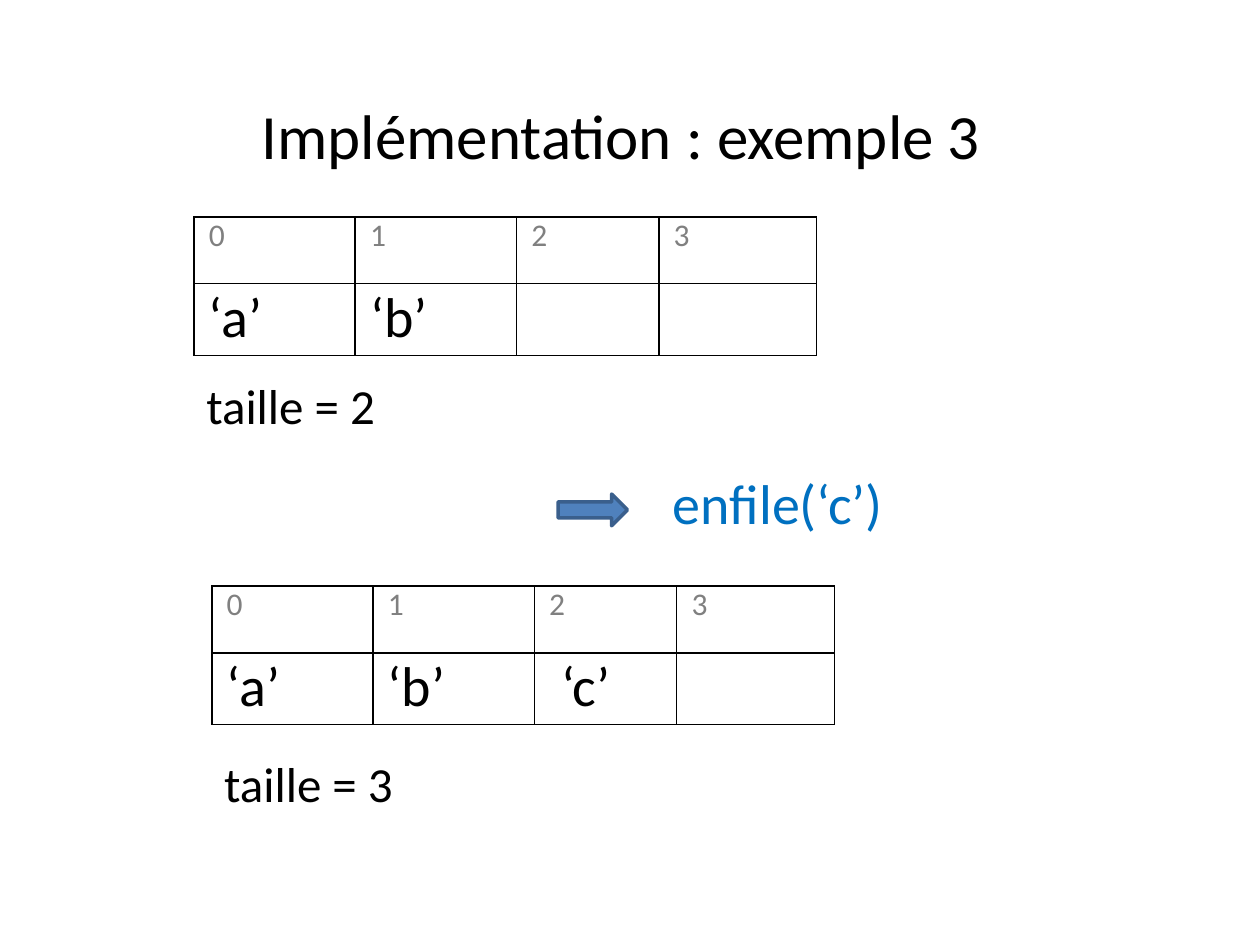
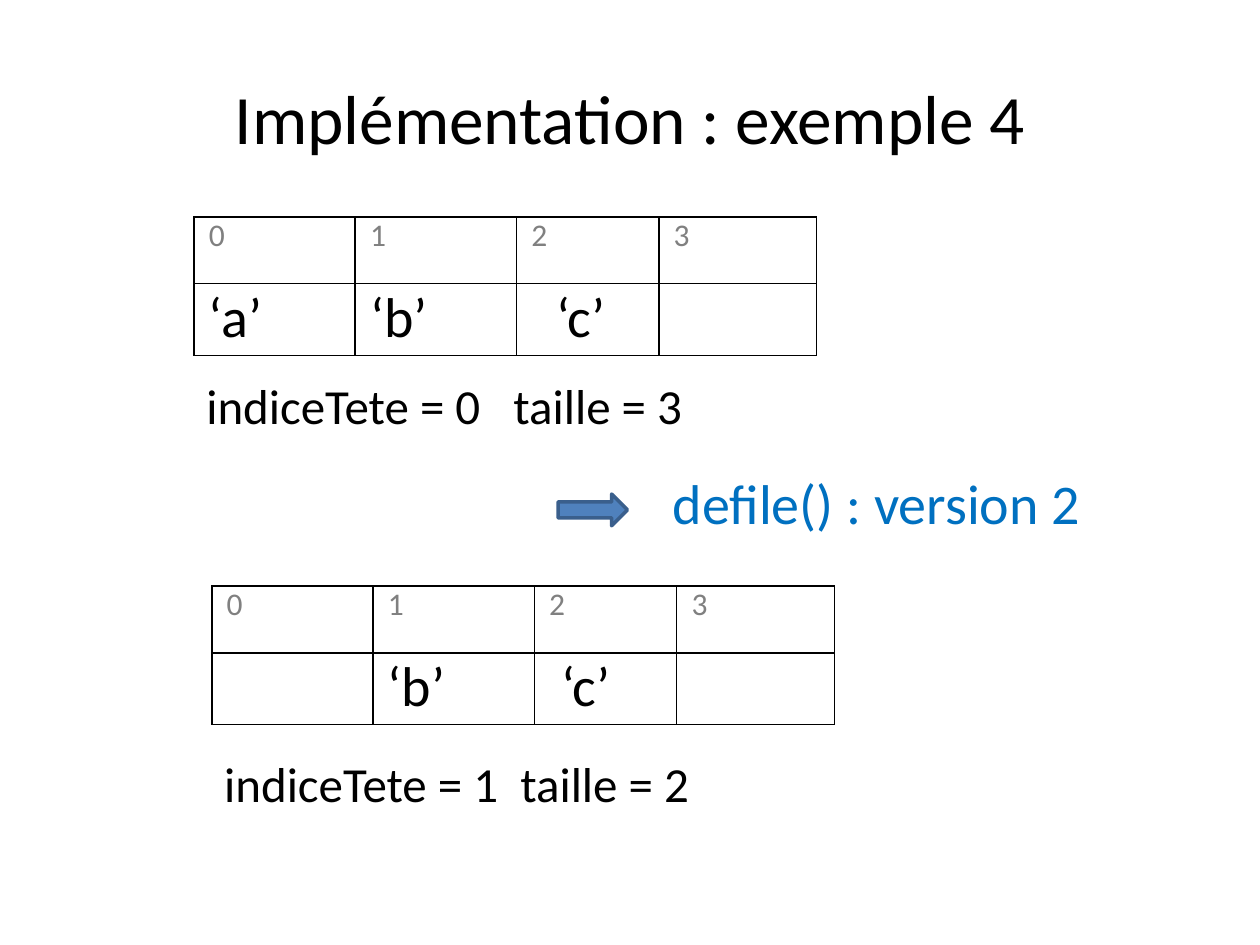
from lxml import etree
from pptx import Presentation
from pptx import util as u
from pptx.dml import color as dml
from pptx.enum import shapes, text
from pptx.oxml import ns

Cm, Pt = u.Cm, u.Pt

# Shared formats
BLACK, GREY, BLUE = "000000", "808080", "0070C0"
ARROW_FILL, ARROW_LINE = "4F81BD", "3A5F8C"
INDEX = {"size": Pt(18), "color": GREY}
VALUE = {"size": Pt(32), "color": BLACK}
STATE = {"size": Pt(28), "color": BLACK}
CALL = {"size": Pt(32), "color": BLUE}

# Shared geometry in centimetres
COLUMN_WIDTHS = (3.25, 3.25, 2.87, 3.18)
ROW_HEIGHTS = (1.35, 1.45)
TABLE_PLACES = ((3.91, 4.37), (4.27, 11.81))
STATE_TOPS = (7.44, 15.06)
CELL_MARGIN = 0.3

# Each state: queue values, indent of the third value, state text, text width, tab stop
PAGES = [
    {"title": "Implémentation : exemple 3", "title_place": (1.09, 1.12), "title_size": 36,
     "call": "enfile(‘c’)", "call_width": 5,
     "states": [(("‘a’", "‘b’", "", ""), 0, "taille = 2", 4.06, None),
                (("‘a’", "‘b’", "‘c’", ""), 0.25, "taille = 3", 4.17, None)]},
    {"title": "Implémentation : exemple 4", "title_place": (1.27, 0.76), "title_size": 39.6,
     "call": "defile() : version 2", "call_width": 9.4,
     "states": [(("‘a’", "‘b’", "‘c’", ""), 0.5, "indiceTete = 0\ttaille = 3", 10.21, 6.19),
                (("", "‘b’", "‘c’", ""), 0.25, "indiceTete = 1\ttaille = 2", 15.04, 5.97)]},
]


def rgb(value):
    return dml.RGBColor.from_string(value)


def write(frame, words, style):
    """Put one formatted line into a text frame and return its paragraph."""
    frame.word_wrap = True
    para = frame.paragraphs[0]
    span = para.add_run()
    span.text = words
    for name, value in {"name": "Calibri", **style}.items():
        if name == "color":
            span.font.color.rgb = rgb(value)
        else:
            setattr(span.font, name, value)
    return para


deck = Presentation()
deck.slide_width, deck.slide_height = Cm(25.4), Cm(19.05)

for content in PAGES:
    page = deck.slides.add_slide(deck.slide_layouts[5])

    # Title
    title = page.shapes.title
    left, top = content["title_place"]
    title.left, title.top, title.width, title.height = Cm(left), Cm(top), Cm(22.86), Cm(3.18)
    title.text_frame.vertical_anchor = text.MSO_ANCHOR.MIDDLE
    para = write(title.text_frame, content["title"],
                 {"size": Pt(content["title_size"]), "color": BLACK})
    para.alignment = text.PP_ALIGN.CENTER

    # Queue before and after the call
    for (left, top), state_top, state in zip(TABLE_PLACES, STATE_TOPS, content["states"]):
        values, indent, words, width, tab = state
        table = page.shapes.add_table(2, 4, Cm(left), Cm(top), Cm(sum(COLUMN_WIDTHS)),
                                      Cm(sum(ROW_HEIGHTS))).table
        table.first_row = table.horz_banding = False
        for column, size in zip(table.columns, COLUMN_WIDTHS):
            column.width = Cm(size)
        for row, size in zip(table.rows, ROW_HEIGHTS):
            row.height = Cm(size)

        for r, (entries, style) in enumerate((("0123", INDEX), (values, VALUE))):
            for c, entry in enumerate(entries):
                cell = table.cell(r, c)
                shift = indent if (r, c) == (1, 2) else 0
                margins = {"margin_left": Cm(CELL_MARGIN + shift), "margin_right": Cm(CELL_MARGIN),
                           "margin_top": 0, "margin_bottom": 0}
                for name, value in margins.items():
                    setattr(cell, name, value)
                if entry:
                    write(cell.text_frame, entry, style)
                # Black borders on all four sides
                for side in ("a:lnL", "a:lnR", "a:lnT", "a:lnB"):
                    border = etree.SubElement(cell._tc.get_or_add_tcPr(), ns.qn(side), w=str(Pt(1)))
                    fill = etree.SubElement(border, ns.qn("a:solidFill"))
                    etree.SubElement(fill, ns.qn("a:srgbClr"), val=BLACK)
                cell.fill.background()

        box = page.shapes.add_textbox(Cm(left), Cm(state_top), Cm(width), Cm(1.45))
        para = write(box.text_frame, words, STATE)
        if tab:
            stops = etree.SubElement(para._p.get_or_add_pPr(), ns.qn("a:tabLst"))
            etree.SubElement(stops, ns.qn("a:tab"), pos=str(Cm(tab)), algn="l")

    # Arrow and the call that changes the queue
    arrow = page.shapes.add_shape(shapes.MSO_SHAPE.RIGHT_ARROW, Cm(11.25), Cm(9.96), Cm(1.4), Cm(0.64))
    arrow.shadow.inherit = False
    arrow.fill.solid()
    arrow.fill.fore_color.rgb = rgb(ARROW_FILL)
    arrow.line.color.rgb = rgb(ARROW_LINE)
    arrow.line.width = Pt(2)
    box = page.shapes.add_textbox(Cm(13.31), Cm(9.32), Cm(content["call_width"]), Cm(1.63))
    write(box.text_frame, content["call"], CALL)

deck.save("out.pptx")
